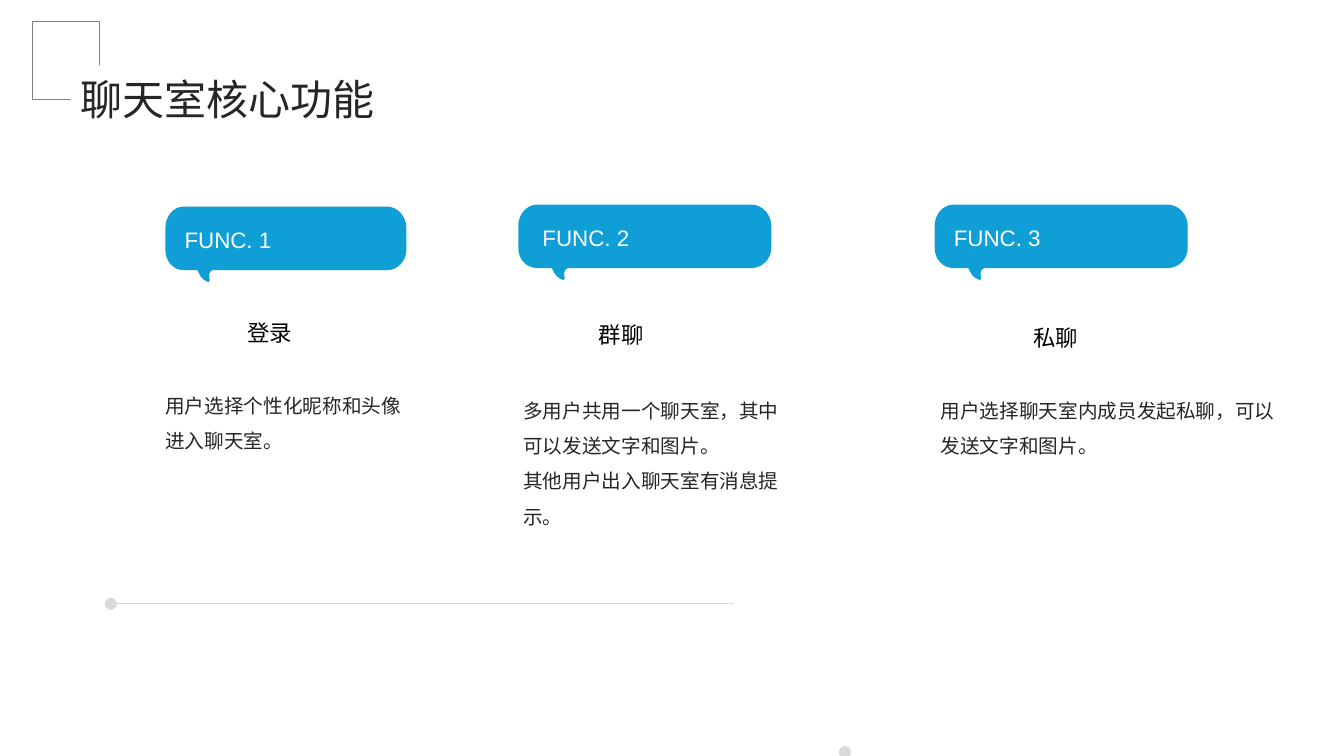
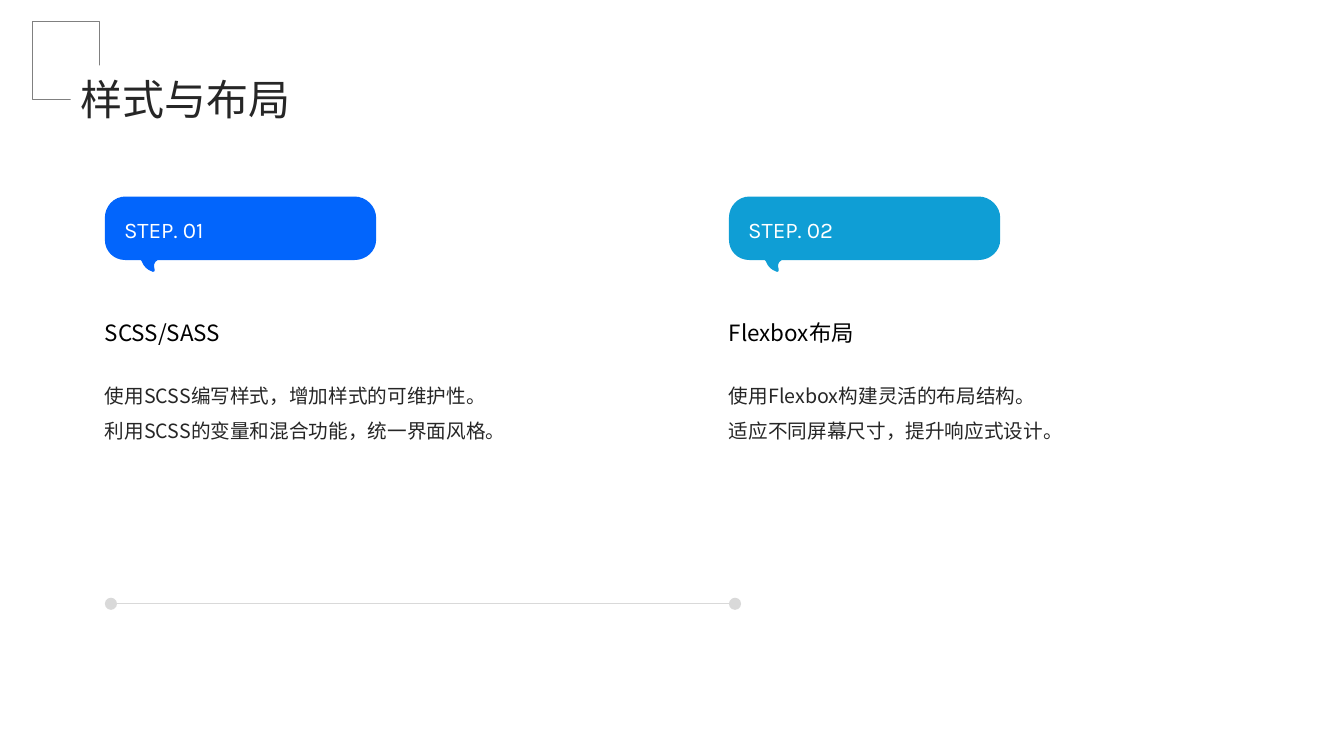
from lxml.etree import SubElement
from pptx import Presentation
from pptx.dml.color import RGBColor
from pptx.enum.shapes import MSO_CONNECTOR, MSO_SHAPE
from pptx.enum.text import MSO_ANCHOR, MSO_AUTO_SIZE
from pptx.oxml.ns import qn
from pptx.util import Pt

PX = 9144  # EMU per px, 100 px to the inch

# Palette and fonts
CYAN, BLUE, WHITE, BLACK = "0F9ED5", "0265FC", "FFFFFF", "000000"
INK, FRAME, RULE = "262626", "808080", "D9D9D9"
CJK, ARIAL, KARLA = "Noto Sans CJK SC", "Arial", "Karla"

# Speech bubble outline, drawn 251 px wide: two numbers for a line, six for a curve
BUBBLE_START = (19, 63)
BUBBLE_OUTLINE = [
    (33, 63), (33, 63, 34, 64, 34, 64),
    (36, 70, 40, 73, 43, 74), (44, 75, 45, 75, 46, 74), (46, 73, 46, 73, 46, 72),
    (45, 69, 45, 65, 49, 63), (50, 63, 50, 63, 50, 63),
    (231, 63), (242, 63, 251, 54, 251, 43),
    (251, 21), (251, 10, 242, 0, 231, 0),
    (19, 0), (8, 0, 0, 10, 0, 21),
    (0, 43), (0, 54, 8, 63, 19, 63),
]


def color(value):
    return RGBColor.from_string(value)


class Deck:
    def __init__(self):
        self.presentation = Presentation()
        self.presentation.slide_width = 1333 * PX
        self.presentation.slide_height = 750 * PX
        self.slide = None

    def new_slide(self, title):
        """Add a slide with the corner frame and its title."""
        self.slide = self.presentation.slides.add_slide(self.presentation.slide_layouts[6])
        self.shape(MSO_SHAPE.RECTANGLE, 32, 21, 67, 78, line=FRAME)
        self.shape(MSO_SHAPE.RECTANGLE, 70, 65, 61, 50, fill=WHITE)
        heading = self.text(title, 80, 68, 1110, 46, size=30, ink=INK, spacing=1.1)
        heading.auto_size = MSO_AUTO_SIZE.SHAPE_TO_FIT_TEXT

    def paint(self, shape, fill=None, line=None):
        shape.shadow.inherit = False
        if fill:
            shape.fill.solid()
            shape.fill.fore_color.rgb = color(fill)
        else:
            shape.fill.background()
        if line:
            shape.line.color.rgb = color(line)
            shape.line.width = Pt(0.75)
        else:
            shape.line.fill.background()

    def shape(self, kind, x, y, width, height, fill=None, line=None):
        shape = self.slide.shapes.add_shape(kind, x * PX, y * PX, width * PX, height * PX)
        self.paint(shape, fill, line)

    def text(self, words, x, y, width, height, size, ink, spacing,
             font=CJK, anchor=MSO_ANCHOR.TOP, wrap=True):
        box = self.slide.shapes.add_textbox(x * PX, y * PX, width * PX, height * PX)
        frame = box.text_frame
        frame.margin_left = frame.margin_right = frame.margin_top = frame.margin_bottom = 0
        frame.word_wrap = wrap
        frame.vertical_anchor = anchor
        frame.text = words
        for paragraph in frame.paragraphs:
            paragraph.line_spacing = spacing
            for run in paragraph.runs:
                run.font.size = Pt(size)
                run.font.name = font
                run.font.color.rgb = color(ink)
                SubElement(run.font._element, qn("a:ea"), typeface=font)
        return frame

    def bubble(self, label, x, y, width, fill=CYAN, font=ARIAL, indent=19):
        outline = self.slide.shapes.build_freeform(*BUBBLE_START, scale=PX)
        outline.add_line_segments([part[-2:] for part in BUBBLE_OUTLINE], close=True)
        balloon = outline.convert_to_shape(x * PX, y * PX)
        balloon.width = width * PX
        # Turn the straight segments into curves where the outline bends
        segments = list(balloon._element.iter(qn("a:lnTo")))
        for segment, part in zip(segments, BUBBLE_OUTLINE):
            if len(part) == 6:
                curve = SubElement(segment.getparent(), qn("a:cubicBezTo"))
                for px, py in zip(part[::2], part[1::2]):
                    SubElement(curve, qn("a:pt"), x=str(px), y=str(py))
                segment.getparent().replace(segment, curve)
        self.paint(balloon, fill)
        self.text(label, x + indent, y + 13, 232, 37, size=16, ink=WHITE, spacing=1.1,
                  font=font, anchor=MSO_ANCHOR.MIDDLE, wrap=False)

    def subtitle(self, words, x, y, width):
        self.text(words, x, y, width, 87, size=16, ink=BLACK, spacing=1.3,
                  anchor=MSO_ANCHOR.MIDDLE)

    def body(self, words, x, y, width, height=157):
        self.text(words, x, y, width, height, size=14, ink=INK, spacing=1.5)

    def timeline(self, dots):
        """Thin rule with dots at the given corners."""
        rule = self.slide.shapes.add_connector(
            MSO_CONNECTOR.STRAIGHT, 106 * PX, 599 * PX, 728 * PX, 599 * PX)
        rule.line.color.rgb = color(RULE)
        rule.line.width = Pt(1)
        SubElement(rule._element.spPr, qn("a:effectLst"))
        for x, y in dots:
            self.shape(MSO_SHAPE.OVAL, x, y, 12, 12, fill=RULE)


def core_functions(deck):
    deck.new_slide("聊天室核心功能")
    deck.timeline([(104, 593), (832, 740)])
    # Each function: bubble, subtitle, body
    functions = [
        (("FUNC. 1", 164, 205, 239), ("登录", 245, 282, 205),
         ("用户选择个性化昵称和头像进入聊天室。", 164, 379, 239, 87)),
        (("FUNC. 2", 514, 203, 251, CYAN, ARIAL, 24), ("群聊", 594, 284, 217),
         ("多用户共用一个聊天室，其中可以发送文字和图片。\n其他用户出入聊天室有消息提示。",
          519, 384, 269, 106)),
        (("FUNC. 3", 927, 203, 251), ("私聊", 1025, 287, 217),
         ("用户选择聊天室内成员发起私聊，可以发送文字和图片。", 933, 384, 335)),
    ]
    for bubble, subtitle, body in functions:
        deck.bubble(*bubble)
        deck.subtitle(*subtitle)
        deck.body(*body)


def style_and_layout(deck):
    deck.new_slide("样式与布局")
    # Each step: left edge, colour, label, subtitle, body with a line break
    steps = [
        (104, BLUE, "STEP. 01", "SCSS/SASS",
         "使用SCSS编写样式，增加样式的可维护性。\v利用SCSS的变量和混合功能，统一界面风格。"),
        (723, CYAN, "STEP. 02", "Flexbox布局",
         "使用Flexbox构建灵活的布局结构。\v适应不同屏幕尺寸，提升响应式设计。"),
    ]
    deck.timeline([(step[0], 593) for step in steps])
    for x, fill, label, subtitle, body in steps:
        deck.bubble(label, x, 195, 269, fill, KARLA)
        deck.subtitle(subtitle, x, 282, 508)
        deck.body(body, x, 369, 508)


def main():
    deck = Deck()
    core_functions(deck)
    style_and_layout(deck)
    deck.presentation.save("out.pptx")


if __name__ == "__main__":
    main()
